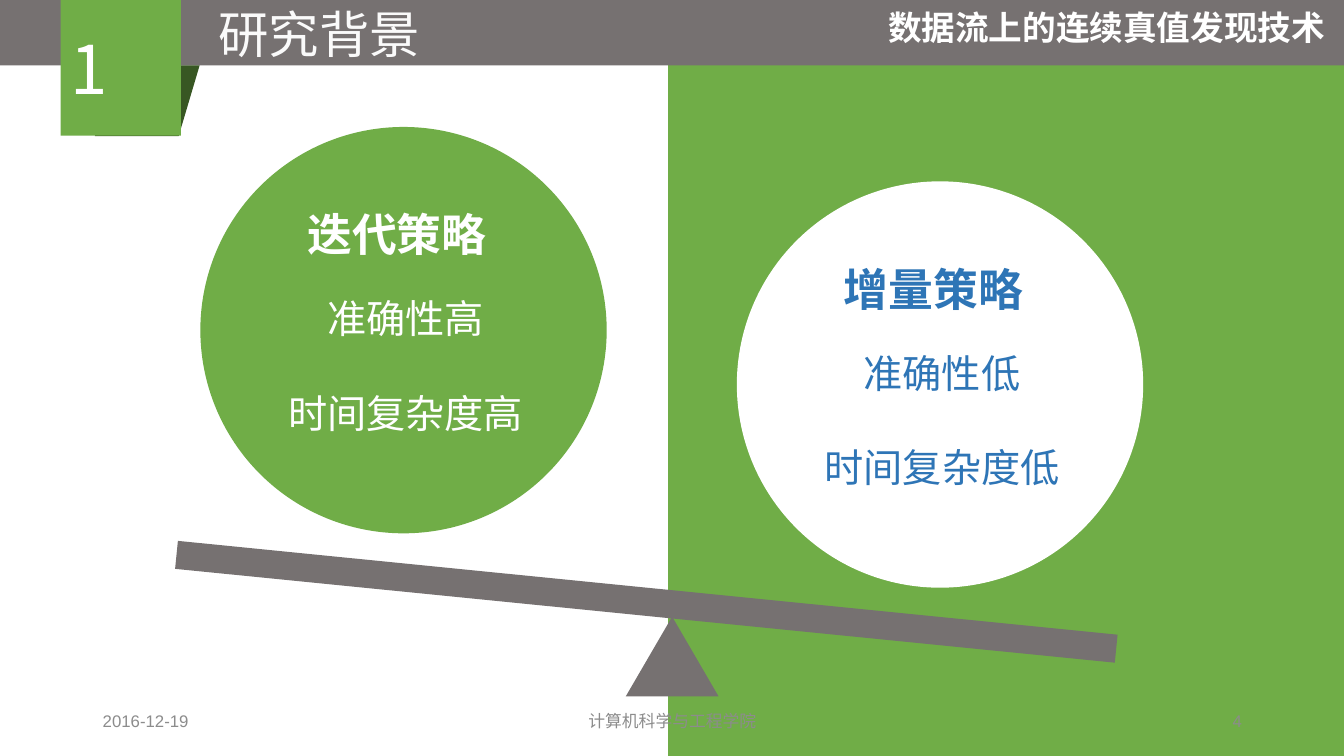
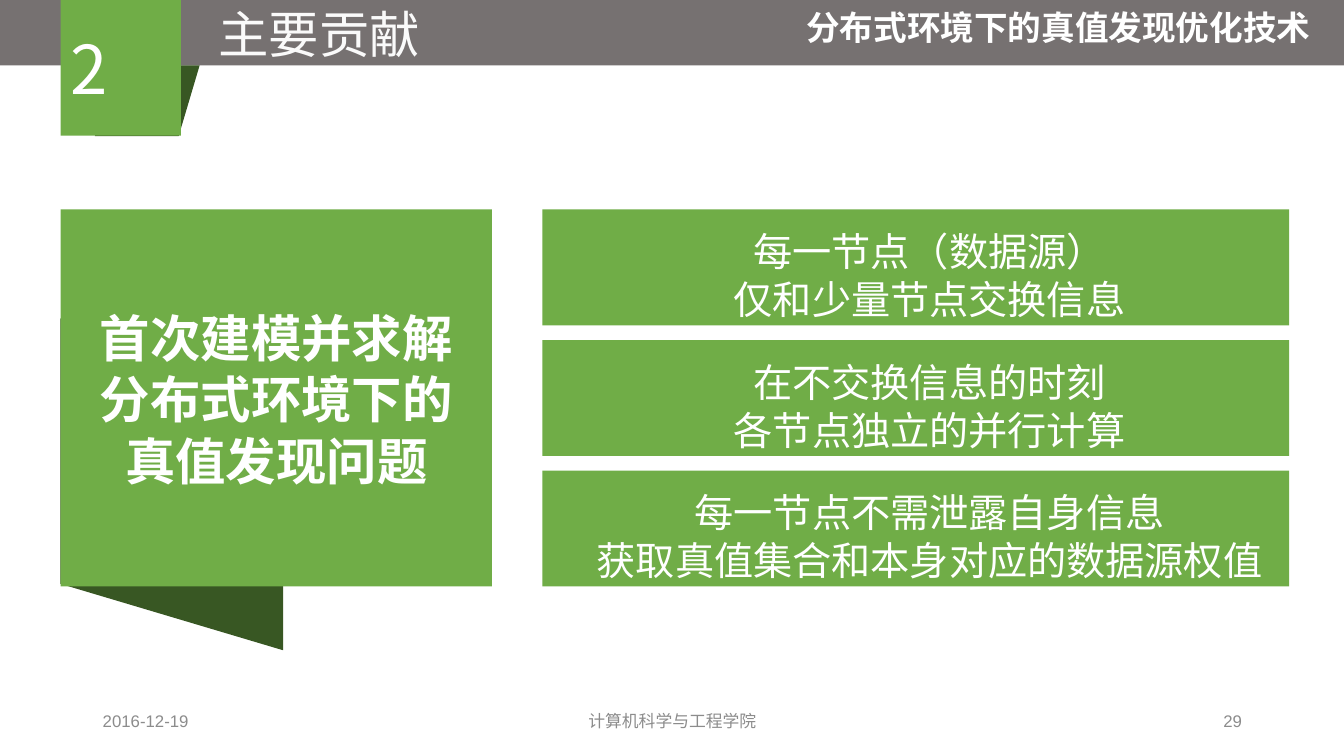
from dataclasses import dataclass

from lxml.etree import SubElement
from pptx import Presentation
from pptx.dml.color import RGBColor
from pptx.enum.shapes import MSO_SHAPE as Shape
from pptx.enum.text import MSO_ANCHOR as Anchor, MSO_AUTO_SIZE as AutoSize, PP_ALIGN as Align
from pptx.oxml.ns import qn
from pptx.util import Cm, Pt

WIDTH, HEIGHT = 33.87, 19.05
TITLE_ONLY, COMPARISON = 5, 4


@dataclass(frozen=True)
class TextStyle:
    size: float
    bold: bool = False
    font: str = "Noto Sans CJK SC"
    line: float = 1.22  # line height in ems, 0 for the font's own


@dataclass(frozen=True)
class Theme:
    green: str = "70AD47"
    dark_green: str = "385723"
    gray: str = "767171"
    blue: str = "2E75B6"
    white: str = "FFFFFF"
    title_white: str = "FAFAFA"
    footer_gray: str = "8C8C8C"
    east_asian: str = "Noto Sans CJK SC"
    badge: TextStyle = TextStyle(48, line=0)
    title: TextStyle = TextStyle(36)
    claim: TextStyle = TextStyle(36, bold=True)
    heading: TextStyle = TextStyle(32, bold=True)
    body: TextStyle = TextStyle(28)
    topic: TextStyle = TextStyle(24, bold=True)
    footer: TextStyle = TextStyle(12, font="Arial", line=0)


class Deck:
    def __init__(self, theme):
        self.theme = theme
        self.deck = Presentation()
        self.deck.slide_width, self.deck.slide_height = Cm(WIDTH), Cm(HEIGHT)
        self.page = None

    def add_page(self, layout):
        self.page = self.deck.slides.add_slide(self.deck.slide_layouts[layout])

    def shape(self, kind, place, color, rotation=0):
        shape = self.page.shapes.add_shape(kind, *map(Cm, place))
        shape.fill.solid()
        shape.fill.fore_color.rgb = RGBColor.from_string(color)
        shape.line.fill.background()
        shape.shadow.inherit = False
        shape.rotation = rotation
        return shape

    def fill_text(self, box, lines, style, color, align=Align.LEFT, anchor=Anchor.TOP, gap=0):
        """Fill a shape with one paragraph per line, gap points apart."""
        frame = box.text_frame
        frame.word_wrap = True
        frame.auto_size = AutoSize.NONE
        frame.vertical_anchor = anchor
        for index, line in enumerate(lines):
            para = frame.add_paragraph() if index else frame.paragraphs[0]
            para.alignment = align
            para.space_before = Pt(gap if index else 0)
            if style.line:
                para.line_spacing = Pt(round(style.size * style.line, 1))
            span = para.add_run()
            span.text = line
            font = span.font
            font.name, font.size, font.bold = style.font, Pt(style.size), style.bold
            font.color.rgb = RGBColor.from_string(color)
            SubElement(span._r.get_or_add_rPr(), qn("a:ea"), typeface=self.theme.east_asian)

    def text(self, place, line, style, color, align=Align.LEFT, anchor=Anchor.TOP):
        box = self.page.shapes.add_textbox(*map(Cm, place))
        self.fill_text(box, [line], style, color, align, anchor)

    def placeholder(self, number, place, lines, style, color, align=Align.LEFT, gap=0):
        """Move a placeholder to the front, place it and fill it without bullets."""
        box = self.page.placeholders[number]
        box.element.getparent().append(box.element)
        box.left, box.top, box.width, box.height = map(Cm, place)
        self.fill_text(box, lines, style, color, align, gap=gap)
        for para in box.text_frame.paragraphs:
            properties = para._p.get_or_add_pPr()
            properties.set("marL", "0")
            properties.set("indent", "0")
            SubElement(properties, qn("a:buNone"))

    def header(self, number, title, topic, topic_right):
        theme = self.theme
        self.shape(Shape.RECTANGLE, (0, 0, WIDTH, 1.65), theme.gray)
        self.shape(Shape.FLOWCHART_DATA, (2.39, 1.65, 2.64, 1.78), theme.dark_green, 180)
        badge = self.shape(Shape.RECTANGLE, (1.53, 0, 3.03, 3.42), theme.green)
        self.fill_text(badge, [number], theme.badge, theme.white, anchor=Anchor.MIDDLE)
        self.placeholder(0, (5.25, -0.07, 10, 1.8), [title], theme.title, theme.title_white)
        self.text((topic_right - 15, 0.04, 15, 1.27), topic, theme.topic, theme.white, Align.RIGHT)

    def footer(self, page_number):
        for left, width, line, align in (
            (2.34, 7.62, "2016-12-19", Align.LEFT),
            (11.23, 11.43, "计算机科学与工程学院", Align.CENTER),
            (23.93, 7.62, page_number, Align.RIGHT),
        ):
            self.text((left, 17.65, width, 1.02), line, self.theme.footer,
                      self.theme.footer_gray, align, Anchor.MIDDLE)

    def strategy(self, left, top, fill, color, first_holder, heading, details):
        """A weight on the seesaw: a disc with a heading and its traits."""
        theme = self.theme
        self.shape(Shape.FLOWCHART_CONNECTOR, (left, top, 10.24, 10.24), fill)
        self.placeholder(first_holder, (left + 2.44, top + 1.87, 7, 1.63),
                         [heading], theme.heading, color)
        self.placeholder(first_holder + 1, (left + 1.04, top + 4.08, 8.26, 3.84),
                         details, theme.body, color, Align.CENTER, gap=33)

    def card(self, place, lines):
        card = self.shape(Shape.RECTANGLE, place, self.theme.green)
        self.fill_text(card, lines, self.theme.body, self.theme.white,
                       Align.CENTER, Anchor.MIDDLE)
        frame = card.text_frame
        frame.margin_left, frame.margin_top, frame.margin_bottom = Cm(0.94), Cm(0.36), 0


def background_page(deck):
    theme = deck.theme
    deck.add_page(COMPARISON)
    deck.shape(Shape.FLOWCHART_PROCESS, (16.83, 0, WIDTH - 16.83, HEIGHT), theme.green)
    deck.header("1", "研究背景", "数据流上的连续真值发现技术", 33.64)
    deck.shape(Shape.RECTANGLE, (4.39, 14.81, 23.8, 0.71), theme.gray, 5.7)
    deck.strategy(5.05, 3.2, theme.green, theme.white, 1,
                  "迭代策略", ["准确性高", "时间复杂度高"])
    deck.strategy(18.57, 4.57, theme.white, theme.blue, 3,
                  "增量策略", ["准确性低", "时间复杂度低"])
    deck.shape(Shape.ISOSCELES_TRIANGLE, (15.77, 15.54, 2.34, 2.01), theme.gray)
    deck.footer("4")


def contribution_page(deck):
    theme = deck.theme
    deck.add_page(TITLE_ONLY)
    deck.header("2", "主要贡献", "分布式环境下的真值发现优化技术", 33.27)
    top, height, card_height = 5.28, 9.5, 2.92
    deck.shape(Shape.FLOWCHART_DATA, (0.15, 9.4, 8.36, 5.61), theme.dark_green, 270)
    claim = deck.shape(Shape.RECTANGLE, (1.53, top, 10.87, height), theme.green)
    deck.fill_text(claim, ["首次建模并求解", "分布式环境下的真值发现问题"],
                   theme.claim, theme.white, Align.CENTER, Anchor.MIDDLE)
    claim.text_frame.margin_left = claim.text_frame.margin_right = Cm(0.5)
    cards = (
        ["每一节点（数据源）", "仅和少量节点交换信息"],
        ["在不交换信息的时刻", "各节点独立的并行计算"],
        ["每一节点不需泄露自身信息", "获取真值集合和本身对应的数据源权值"],
    )
    pitch = (height - card_height) / (len(cards) - 1)
    for index, lines in enumerate(cards):
        deck.card((13.67, top + index * pitch, 18.82, card_height), lines)
    deck.footer("29")


def main():
    deck = Deck(Theme())
    background_page(deck)
    contribution_page(deck)
    deck.deck.save("out.pptx")


if __name__ == "__main__":
    main()
